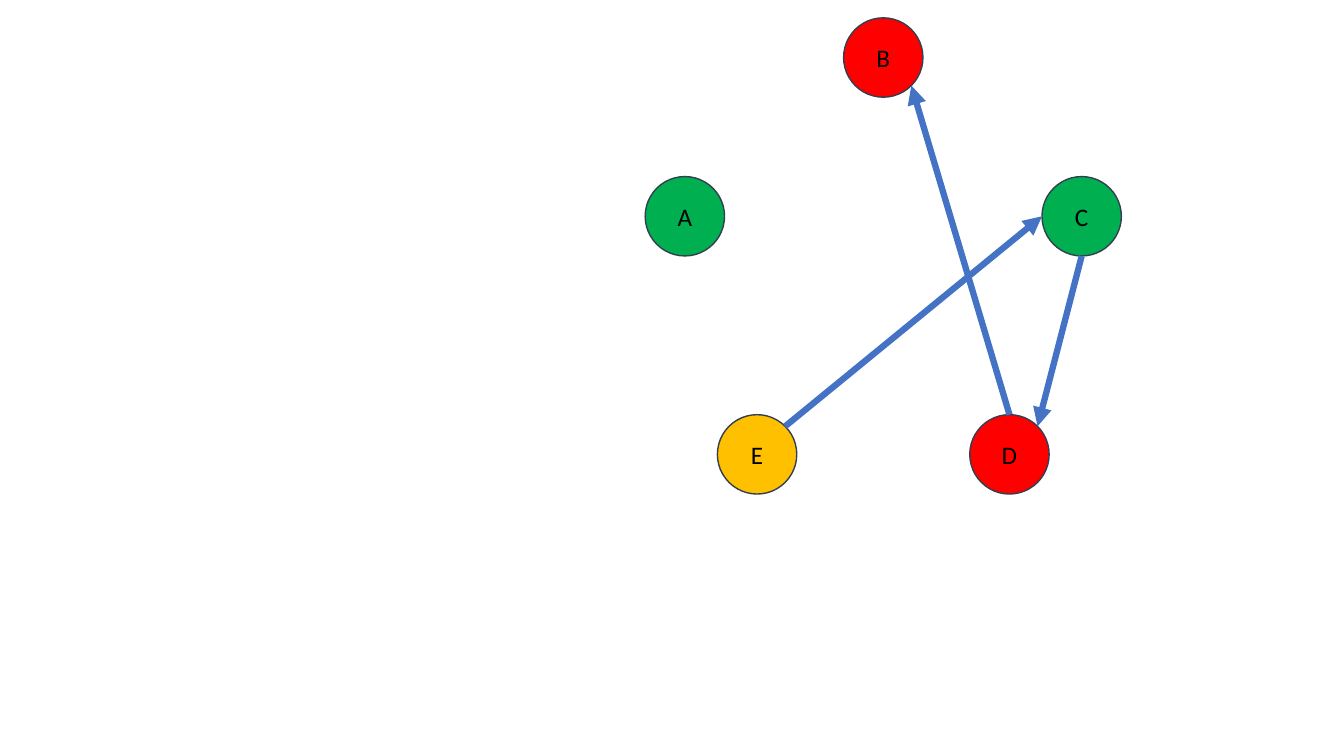
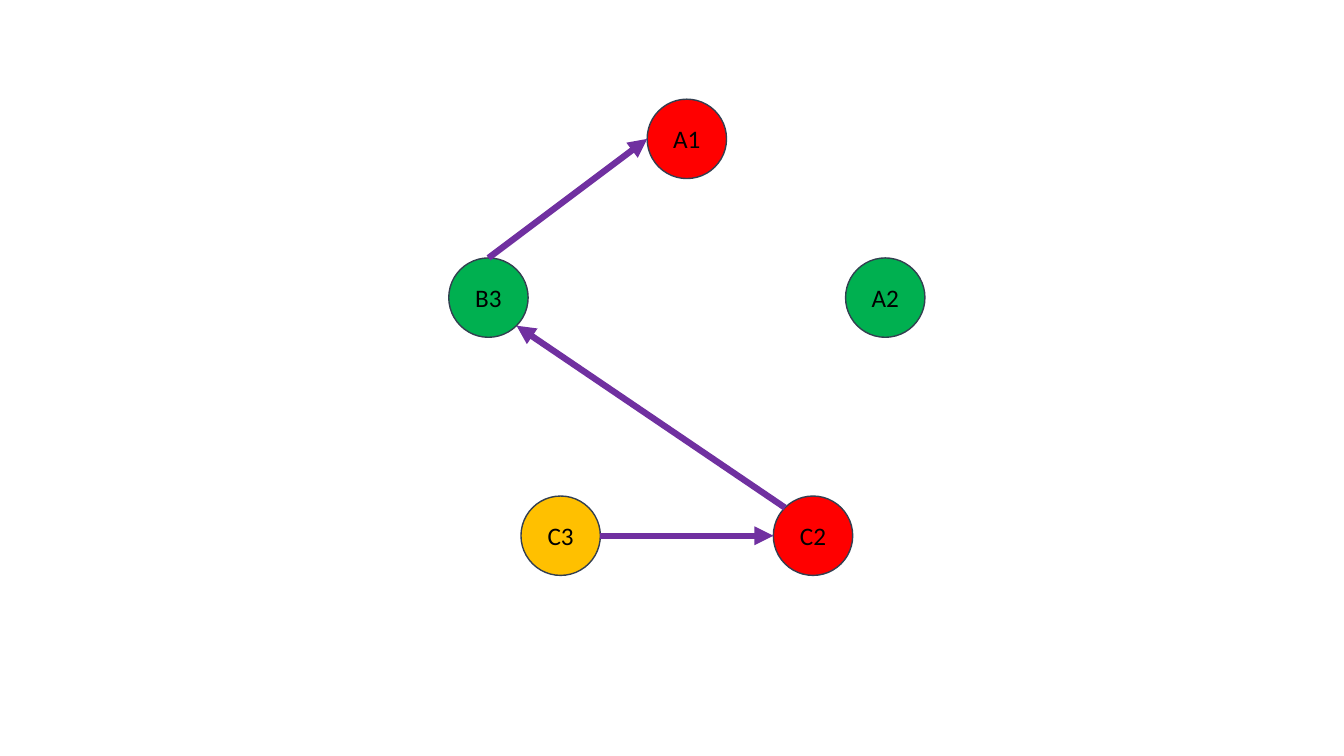
"""Build two slides of five-node graphs joined by directed edges."""
from math import cos, radians, sin

from lxml.etree import SubElement
from pptx import Presentation
from pptx.dml.color import RGBColor
from pptx.enum.shapes import MSO_CONNECTOR, MSO_SHAPE
from pptx.enum.text import MSO_ANCHOR, PP_ALIGN
from pptx.oxml.ns import qn
from pptx.util import Cm, Pt

COLORS = {
    "red": "FF0000",
    "amber": "FFC000",
    "green": "00B050",
    "outline": "333F50",
    "label": "000000",
    "blue": "4472C4",
    "purple": "7030A0",
}
RADIUS = 1
RING = [
    (0, 0, "red"),
    (-3.18, 10, "amber"),
    (3.18, 10, "red"),
    (5, 4, "green"),
    (-5, 4, "green"),
]
SITES = ["top", "top left", "left", "bottom left",
         "bottom", "bottom right", "right", "top right"]
GRAPHS = [
    {
        "apex": (22.26, 1.45),
        "labels": ["B", "E", "D", "C", "A"],
        "edge_color": "blue",
        "edges": [
            ("E", "top right", "C", "left"),
            ("C", "bottom", "D", "top right"),
            ("D", "top", "B", "bottom right"),
        ],
    },
    {
        "apex": (17.31, 3.5),
        "labels": ["A1", "C3", "C2", "A2", "B3"],
        "edge_color": "purple",
        "edges": [
            ("C3", "right", "C2", "left"),
            ("C2", "top left", "B3", "bottom right"),
            ("B3", "top", "A1", "left"),
        ],
    },
]


def rgb(name):
    return RGBColor.from_string(COLORS[name])


def site_point(center, site):
    angle = radians(90 + 45 * SITES.index(site))
    return (Cm(center[0] + RADIUS * cos(angle)),
            Cm(center[1] - RADIUS * sin(angle)))


deck = Presentation()
deck.slide_width, deck.slide_height = Cm(33.87), Cm(19.05)

for graph in GRAPHS:
    slide = deck.slides.add_slide(deck.slide_layouts[6])
    apex_x, apex_y = graph["apex"]
    nodes, centers = {}, {}

    for label, (dx, dy, color) in zip(graph["labels"], RING):
        x, y = apex_x + dx, apex_y + dy
        node = slide.shapes.add_shape(
            MSO_SHAPE.OVAL, Cm(x - RADIUS), Cm(y - RADIUS),
            Cm(2 * RADIUS), Cm(2 * RADIUS))
        node.shadow.inherit = False
        node.fill.solid()
        node.fill.fore_color.rgb = rgb(color)
        node.line.color.rgb = rgb("outline")
        node.line.width = Pt(1)
        node.text_frame.vertical_anchor = MSO_ANCHOR.MIDDLE
        paragraph = node.text_frame.paragraphs[0]
        paragraph.text = label
        paragraph.alignment = PP_ALIGN.CENTER
        paragraph.font.name = "Calibri"
        paragraph.font.size = Pt(18)
        paragraph.font.color.rgb = rgb("label")
        nodes[label], centers[label] = node, (x, y)

    for source, source_site, target, target_site in graph["edges"]:
        edge = slide.shapes.add_connector(
            MSO_CONNECTOR.STRAIGHT,
            *site_point(centers[source], source_site),
            *site_point(centers[target], target_site))
        edge.line.color.rgb = rgb(graph["edge_color"])
        edge.line.width = Pt(4.5)
        SubElement(edge.line._get_or_add_ln(), qn("a:tailEnd"), type="triangle")
        SubElement(edge._element.spPr, qn("a:effectLst"))
        glue = edge._element.nvCxnSpPr.cNvCxnSpPr
        for tag, label, site in (("a:stCxn", source, source_site),
                                 ("a:endCxn", target, target_site)):
            SubElement(glue, qn(tag), id=str(nodes[label].shape_id),
                       idx=str(SITES.index(site)))

deck.save("out.pptx")
